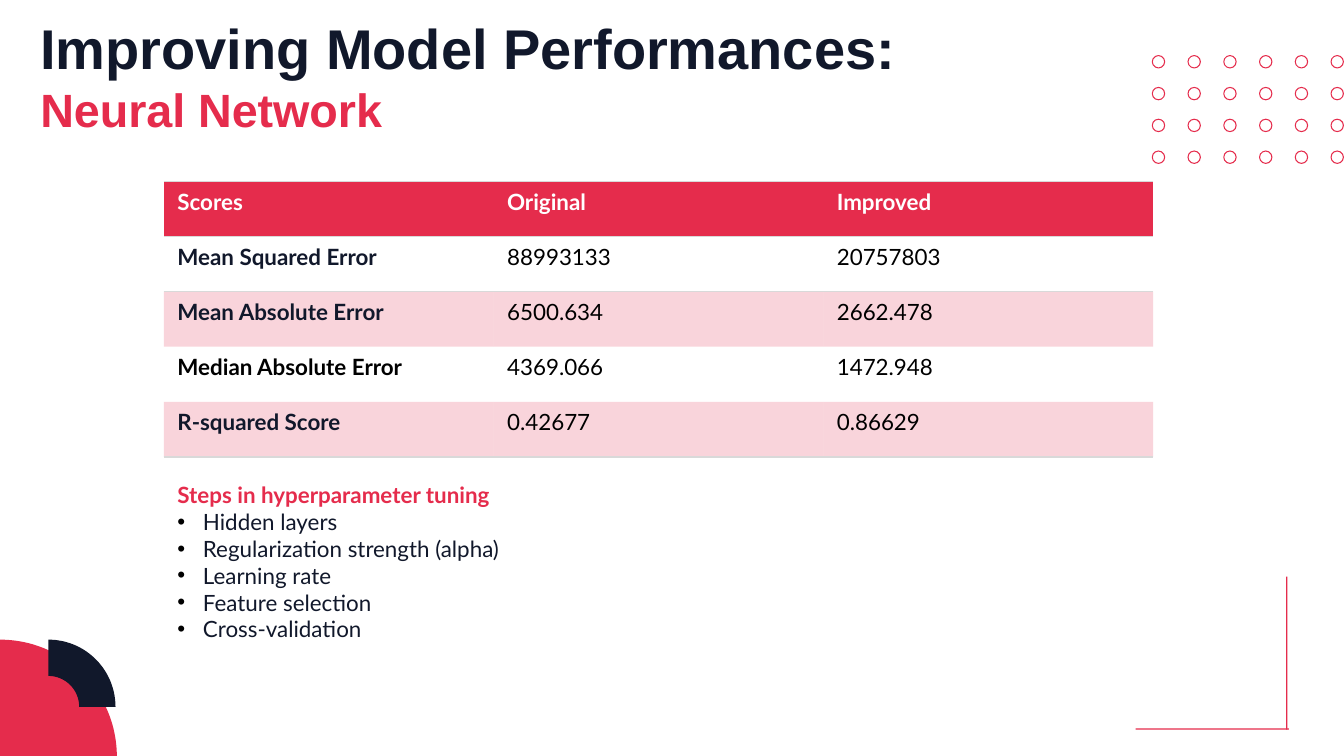
import dataclasses
import math

import pptx
import pptx.dml.color
import pptx.enum.shapes
import pptx.enum.text
import pptx.oxml
import pptx.oxml.ns
import pptx.util

Inches = pptx.util.Inches
Pt = pptx.util.Pt
RGBColor = pptx.dml.color.RGBColor
ShapeType = pptx.enum.shapes.MSO_SHAPE

RED = RGBColor(0xE5, 0x2C, 0x4C)
NAVY = RGBColor(0x11, 0x18, 0x2B)
BLACK = RGBColor(0, 0, 0)
WHITE = RGBColor(0xFF, 0xFF, 0xFF)
RULE_GREY = RGBColor(0xD9, 0xD9, 0xD9)
NO_TABLE_STYLE = "{2D5ABB26-0587-4C30-8999-92F81FD0307C}"
NAMESPACE = pptx.oxml.ns.nsdecls("a")


@dataclasses.dataclass(frozen=True)
class Box:
    left: float
    top: float
    width: float
    height: float

    def lengths(self) -> list:
        return [Inches(value) for value in dataclasses.astuple(self)]


@dataclasses.dataclass(frozen=True)
class QuarterRing:
    center_x: float
    center_y: float
    outer: float
    inner: float
    color: RGBColor


@dataclasses.dataclass(frozen=True)
class TextStyle:
    size: float
    name: str
    color: RGBColor
    bold: bool = False


TITLE_BOX = Box(0.2, 0, 8.64, 1)
STEPS_BOX = Box(1.22, 3.48, 7.36, 1.28)
TABLE_BOX = Box(1.22, 1.35, 7.36, 2.05)
CORNER_RULES = [Box(8.45, 5.42, 1.14, 0.01), Box(9.57, 4.29, 0.01, 1.14)]
CORNER_RINGS = [
    QuarterRing(0, 5.63, 0.87, 0, RED),
    QuarterRing(0.36, 5.26, 0.5, 0.23, NAVY),
]

TITLE_STYLE = TextStyle(30, "Arial", NAVY, True)
SUBTITLE_STYLE = TextStyle(25, "Arial", RED, True)
STEPS_HEADING_STYLE = TextStyle(12, "Lato", RED, True)
STEP_STYLE = TextStyle(12, "Lato", NAVY)
HEADER_STYLE = TextStyle(12, "Lato", WHITE, True)
LABEL_STYLE = TextStyle(12, "Lato", NAVY, True)
VALUE_STYLE = TextStyle(12, "Lato", BLACK)

BLACK_LABEL = "Median Absolute Error"
SCORES = [
    ("Scores", "Original", "Improved"),
    ("Mean Squared Error", "88993133", "20757803"),
    ("Mean Absolute Error", "6500.634", "2662.478"),
    (BLACK_LABEL, "4369.066", "1472.948"),
    ("R-squared Score", "0.42677", "0.86629"),
]
STEPS = [
    "Hidden layers",
    "Regularization strength (alpha)",
    "Learning rate",
    "Feature selection",
    "Cross-validation",
]


def add_run(paragraph, text: str, style: TextStyle) -> None:
    run = paragraph.add_run()
    run.text = text
    formats = {"size": Pt(style.size), "name": style.name, "bold": style.bold}
    for attribute, value in formats.items():
        setattr(run.font, attribute, value)
    run.font.color.rgb = style.color


def prepare_placeholder(shape, box: Box):
    shape.left, shape.top, shape.width, shape.height = box.lengths()
    formats = {
        "word_wrap": True,
        "auto_size": pptx.enum.text.MSO_AUTO_SIZE.NONE,
        "vertical_anchor": pptx.enum.text.MSO_ANCHOR.TOP,
    }
    for side in ("left", "top", "right", "bottom"):
        formats[f"margin_{side}"] = Inches(0.1)
    for attribute, value in formats.items():
        setattr(shape.text_frame, attribute, value)
    return shape.text_frame


def paint(shape, color: RGBColor) -> None:
    shape.shadow.inherit = False
    shape.fill.solid()
    shape.fill.fore_color.rgb = color
    shape.line.fill.background()


def add_rings(slide, columns: int = 6, rows: int = 4) -> None:
    left, right, top, bottom = 8.57, 9.9, 0.41, 1.12
    for row in range(rows):
        for column in range(columns):
            x = left + (right - left) * column / (columns - 1)
            y = top + (bottom - top) * row / (rows - 1)
            ring = slide.shapes.add_shape(ShapeType.DONUT, *Box(x, y, 0.1, 0.1).lengths())
            ring.adjustments[0] = 0.08
            paint(ring, RED)


def add_quarter_ring(slide, ring: QuarterRing, steps: int = 45) -> None:
    def arc(radius: float) -> list:
        angles = [math.pi / 2 * step / steps for step in range(steps + 1)]
        return [
            (Inches(ring.center_x + radius * math.sin(angle)),
             Inches(ring.center_y - radius * math.cos(angle)))
            for angle in angles
        ]

    points = arc(ring.outer) + arc(ring.inner)[::-1]
    builder = slide.shapes.build_freeform(*points[0])
    builder.add_line_segments(points[1:], close=True)
    paint(builder.convert_to_shape(), ring.color)


def set_bullet(paragraph, bullet: str) -> None:
    properties = paragraph._p.get_or_add_pPr()
    indent = Inches(0.19) if bullet else 0
    properties.set("marL", str(indent))
    properties.set("indent", str(-indent))
    if not bullet:
        properties.append(pptx.oxml.parse_xml(f"<a:buNone {NAMESPACE}/>"))
        return
    for xml in (
        f'<a:buClr {NAMESPACE}><a:srgbClr val="{BLACK}"/></a:buClr>',
        f'<a:buFont {NAMESPACE} typeface="Arial"/>',
        f'<a:buChar {NAMESPACE} char="{bullet}"/>',
    ):
        properties.append(pptx.oxml.parse_xml(xml))


def fill_cell(cell, row: int) -> None:
    if row % 2:
        cell.fill.background()
    else:
        cell.fill.solid()
        cell.fill.fore_color.rgb = RED
    properties = cell._tc.get_or_add_tcPr()
    if row in (2, 4):  # tinted bands
        color = properties.find(".//" + pptx.oxml.ns.qn("a:srgbClr"))
        color.append(pptx.oxml.parse_xml(f'<a:alpha {NAMESPACE} val="20000"/>'))
    edges = {0: ("lnT", "lnB"), 1: ("lnT",), len(SCORES) - 1: ("lnB",)}.get(row, ())
    for index, edge in enumerate(edges):
        properties.insert(index, pptx.oxml.parse_xml(
            f'<a:{edge} {NAMESPACE} w="{Pt(1)}"><a:solidFill>'
            f'<a:srgbClr val="{RULE_GREY}"/></a:solidFill></a:{edge}>'))


def add_score_table(slide) -> None:
    frame = slide.shapes.add_table(len(SCORES), len(SCORES[0]), *TABLE_BOX.lengths())
    for style in frame.element.iter(pptx.oxml.ns.qn("a:tableStyleId")):
        style.text = NO_TABLE_STYLE
    for row, texts in enumerate(SCORES):
        for column, text in enumerate(texts):
            cell = frame.table.cell(row, column)
            style = HEADER_STYLE if row == 0 else VALUE_STYLE if column else LABEL_STYLE
            if text == BLACK_LABEL:
                style = dataclasses.replace(style, color=BLACK)
            add_run(cell.text_frame.paragraphs[0], text, style)
            fill_cell(cell, row)


def main() -> None:
    presentation = pptx.Presentation()
    presentation.slide_width = Inches(10)
    presentation.slide_height = Inches(10 * 9 / 16)
    slide = presentation.slides.add_slide(presentation.slide_layouts[1])

    # Corner decoration
    for box in CORNER_RULES:
        paint(slide.shapes.add_shape(ShapeType.RECTANGLE, *box.lengths()), RED)
    add_rings(slide)
    for ring in CORNER_RINGS:
        add_quarter_ring(slide, ring)

    add_score_table(slide)

    # Tuning steps
    steps_frame = prepare_placeholder(slide.placeholders[1], STEPS_BOX)
    for index, text in enumerate(["Steps in hyperparameter tuning", *STEPS]):
        paragraph = steps_frame.add_paragraph() if index else steps_frame.paragraphs[0]
        paragraph.space_before = Pt(0)
        set_bullet(paragraph, "•" if index else "")
        add_run(paragraph, text, STEP_STYLE if index else STEPS_HEADING_STYLE)

    # Title
    title = prepare_placeholder(slide.shapes.title, TITLE_BOX).paragraphs[0]
    title.alignment = pptx.enum.text.PP_ALIGN.LEFT
    add_run(title, "Improving Model Performances:", TITLE_STYLE)
    title.add_line_break()
    add_run(title, "Neural Network", SUBTITLE_STYLE)

    presentation.save("out.pptx")


if __name__ == "__main__":
    main()
